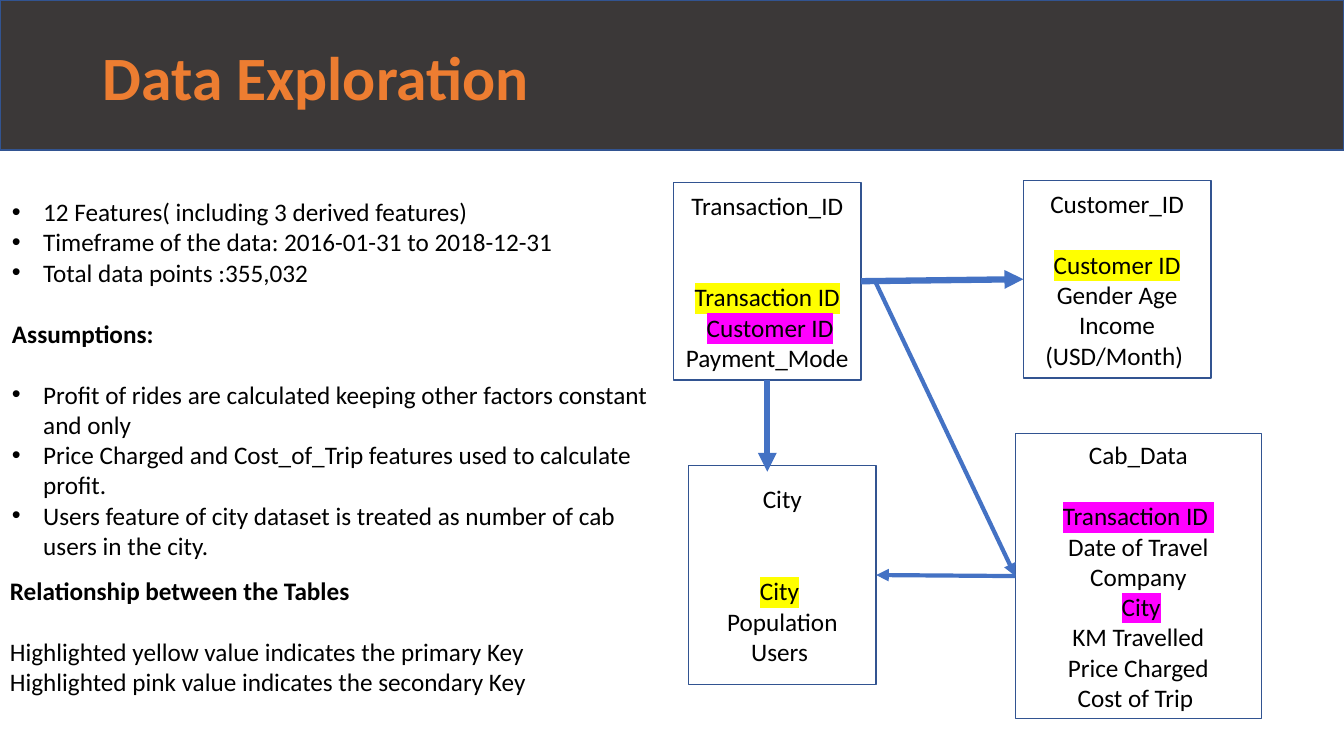
from lxml import etree
from pptx import Presentation
from pptx.dml.color import RGBColor
from pptx.enum import shapes, text
from pptx.oxml import ns
from pptx.util import Inches, Pt

INK, ORANGE, BLUE, OUTLINE, BAND = "000000", "ED7D31", "4472C4", "325491", "3B3838"
PRIMARY, SECONDARY = "FFFF00", "FF00FF"
FONT, SIZE, BLANK_LINE = "Calibri", 18, 22
LEFT, CENTER = text.PP_ALIGN.LEFT, text.PP_ALIGN.CENTER

FACTS = [
    "12 Features( including 3 derived features)",
    "Timeframe of the data: 2016-01-31 to 2018-12-31",
    "Total data points :355,032",
]
ASSUMPTIONS = [
    "Profit of rides are calculated keeping other factors constant and only",
    "Price Charged and Cost_of_Trip features used to calculate profit.",
    "Users feature of city dataset is treated as number of cab users in the city.",
]
KEY_NOTES = [
    "Highlighted yellow value indicates the primary Key",
    "Highlighted pink value indicates the secondary Key",
]
TABLES = {
    "Transaction": ((6.68, 1.81, 1.86, 1.96), "Transaction_ID", 2, [
        [("Transaction ID", PRIMARY)],
        [(" ", None), ("Customer ID", SECONDARY), (" Payment_Mode ", None)]]),
    "Customer": ((10.15, 1.79, 1.86, 1.96), "Customer_ID", 1, [
        [("Customer ID", PRIMARY), (" Gender Age Income (USD/Month) ", None)]]),
    "City": ((6.83, 4.62, 1.86, 2.17), "City", 2, [
        [("City", PRIMARY), (" ", None)],
        [("Population Users ", None)]]),
    "Cab": ((10.07, 4.3, 2.44, 2.83), "Cab_Data", 1, [
        [("Transaction ID ", SECONDARY)],
        [("Date of Travel Company", None)],
        [(" ", None), ("City", SECONDARY)],
        [(" KM Travelled ", None)],
        [("Price Charged", None)],
        [("Cost of Trip ", None)]]),
}


def color(value):
    """Turn a hex string into a colour."""
    return RGBColor.from_string(value)


def add_child(parent, tag, **attributes):
    """Append a drawing element with the given attributes."""
    return etree.SubElement(parent, ns.qn(tag), **attributes)


def write(frame, content, size=SIZE, ink=INK, bold=False, align=LEFT,
          before=0, spacing=None, bullet=False):
    """Add a paragraph of plain text or of (text, highlight) pieces."""
    paragraph = frame.paragraphs[0]
    if paragraph.runs:
        paragraph = frame.add_paragraph()
    paragraph.alignment = align
    paragraph.space_before = Pt(before)
    if spacing:
        paragraph.line_spacing = spacing
    if bullet:
        properties = paragraph._p.get_or_add_pPr()
        properties.set("marL", str(Inches(0.31)))
        properties.set("indent", str(-Inches(0.31)))
        add_child(properties, "a:buFont", typeface="Arial")
        add_child(properties, "a:buChar", char="•")
    pieces = [(content, None)] if isinstance(content, str) else content
    for words, highlight in pieces:
        run = paragraph.add_run()
        run.text = words
        run.font.size = Pt(size)
        run.font.bold = bold
        run.font.color.rgb = color(ink)
        run.font.name = FONT
        if highlight:
            latin = run._r.rPr.find(ns.qn("a:latin"))
            marker = etree.Element(ns.qn("a:highlight"))
            add_child(marker, "a:srgbClr", val=highlight)
            latin.addprevious(marker)


def add_rectangle(slide, box, fill=None):
    """Draw an outlined rectangle, filled when a colour is given."""
    shape = slide.shapes.add_shape(
        shapes.MSO_SHAPE.RECTANGLE, *(Inches(value) for value in box))
    shape.shadow.inherit = False
    if fill:
        shape.fill.solid()
        shape.fill.fore_color.rgb = color(fill)
    else:
        shape.fill.background()
    shape.line.color.rgb = color(OUTLINE)
    shape.line.width = Pt(1)
    return shape


def add_text_frame(slide, box):
    """Add a wrapping text box and return its frame."""
    frame = slide.shapes.add_textbox(*(Inches(value) for value in box)).text_frame
    frame.word_wrap = True
    return frame


def add_header(slide, box):
    """Draw the dark band and set the title on it."""
    left, top, width, height = box
    band = add_rectangle(slide, box, BAND)
    title = slide.shapes.title
    title.left, title.top = Inches(left + 0.92), Inches(top + 0.07)
    title.width, title.height = Inches(width - 1.83), Inches(height - 0.04)
    title.element.addprevious(band.element)
    frame = title.text_frame
    frame.vertical_anchor = text.MSO_ANCHOR.MIDDLE
    write(frame, "Data Exploration", size=44, ink=ORANGE, bold=True, spacing=0.9)


def add_findings(slide, box):
    """Write the facts and the assumptions as bullet lists."""
    frame = add_text_frame(slide, box)
    for fact in FACTS:
        write(frame, fact, bullet=True)
    write(frame, "Assumptions:", bold=True, before=BLANK_LINE)
    for index, assumption in enumerate(ASSUMPTIONS):
        write(frame, assumption, bullet=True, before=0 if index else BLANK_LINE)


def add_key_notes(slide, box):
    """Explain the highlight colours of the diagram."""
    frame = add_text_frame(slide, box)
    write(frame, "Relationship between the Tables", bold=True)
    for index, note in enumerate(KEY_NOTES):
        write(frame, note, before=0 if index else BLANK_LINE)


def add_table_card(slide, box, name, gap_lines, fields):
    """Draw one data table with its name above its fields."""
    card = add_rectangle(slide, box)
    frame = card.text_frame
    frame.word_wrap = True
    frame.vertical_anchor = text.MSO_ANCHOR.MIDDLE
    write(frame, name, align=CENTER)
    for index, field in enumerate(fields):
        write(frame, field, align=CENTER,
              before=0 if index else gap_lines * BLANK_LINE)
    return card


def add_arrow(slide, start, end, width, begin=None, finish=None):
    """Draw an arrow, joined to (card, side) where one is given."""
    arrow = slide.shapes.add_connector(
        shapes.MSO_CONNECTOR.STRAIGHT, *(Inches(value) for value in start + end))
    if begin:
        arrow.begin_connect(*begin)
    if finish:
        arrow.end_connect(*finish)
    arrow.line.color.rgb = color(BLUE)
    arrow.line.width = Pt(width)
    add_child(arrow.line._get_or_add_ln(), "a:tailEnd", type="triangle")
    add_child(arrow._element.spPr, "a:effectLst")


def add_diagram(slide):
    """Draw the data tables and the relations between them."""
    cards = {key: add_table_card(slide, *table) for key, table in TABLES.items()}
    transaction, customer, city, cab = cards.values()
    add_arrow(slide, (8.54, 2.79), (10.15, 2.77), 4.5, (transaction, 3), (customer, 1))
    add_arrow(slide, (7.61, 3.77), (7.61, 4.68), 4.5, begin=(transaction, 2))
    add_arrow(slide, (8.67, 2.77), (10.07, 5.71), 3, finish=(cab, 1))
    add_arrow(slide, (10.07, 5.71), (8.69, 5.71), 3, (cab, 1), (city, 3))


def main():
    """Build and save the slide."""
    presentation = Presentation()
    presentation.slide_width, presentation.slide_height = Inches(13.33), Inches(7.5)
    slide = presentation.slides.add_slide(presentation.slide_layouts[5])
    add_header(slide, (0, 0, 13.33, 1.49))
    add_findings(slide, (0.02, 1.9, 6.65, 3.75))
    add_key_notes(slide, (0, 5.66, 6.65, 1.35))
    add_diagram(slide)
    presentation.save("out.pptx")


if __name__ == "__main__":
    main()
